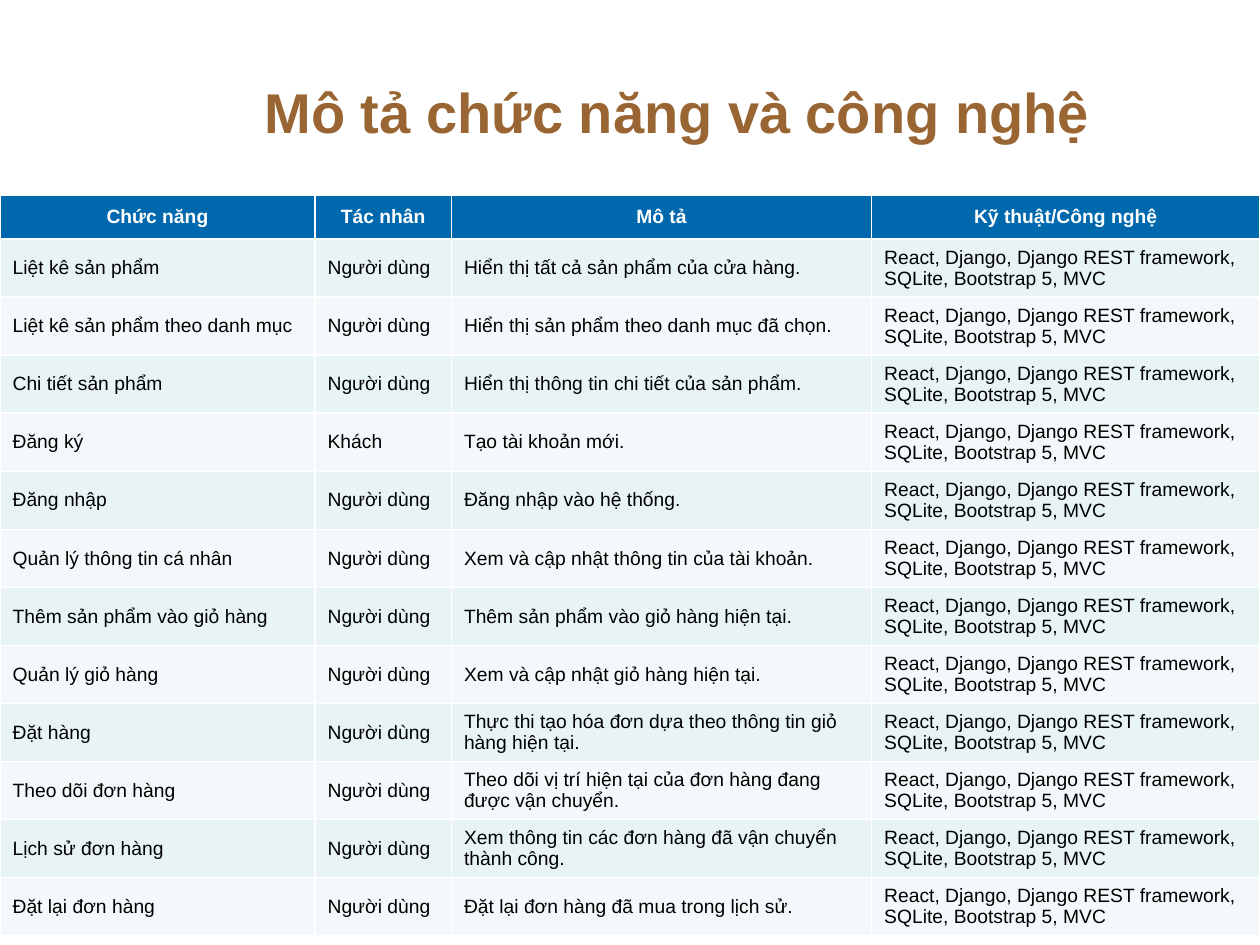
"""Build a slide with a table of shop functions, actors and technologies."""
from pptx import Presentation
from pptx.dml.color import RGBColor
from pptx.enum.text import MSO_ANCHOR as Anchor, PP_ALIGN as Align
from pptx.util import Cm, Pt

BROWN = RGBColor(0x99, 0x66, 0x33)
BLUE = RGBColor(0x00, 0x69, 0xAD)
WHITE = RGBColor(0xFF, 0xFF, 0xFF)
BLACK = RGBColor(0x00, 0x00, 0x00)
BANDS = (RGBColor(0xE7, 0xF3, 0xF4), RGBColor(0xF3, 0xF9, 0xFA))
FONT = "Arial"

HEADING = "Mô tả chức năng và công nghệ"
COLUMNS = (
    ("Chức năng", 6.35),
    ("Tác nhân", 2.75),
    ("Mô tả", 8.47),
    ("Kỹ thuật/Công nghệ", 7.83),
)
USER, GUEST = "Người dùng", "Khách"
TECHNOLOGY = "React, Django, Django REST framework, SQLite, Bootstrap 5, MVC"
FUNCTIONS = (
    ("Liệt kê sản phẩm", USER, "Hiển thị tất cả sản phẩm của cửa hàng."),
    ("Liệt kê sản phẩm theo danh mục", USER, "Hiển thị sản phẩm theo danh mục đã chọn."),
    ("Chi tiết sản phẩm", USER, "Hiển thị thông tin chi tiết của sản phẩm."),
    ("Đăng ký", GUEST, "Tạo tài khoản mới."),
    ("Đăng nhập", USER, "Đăng nhập vào hệ thống."),
    ("Quản lý thông tin cá nhân", USER, "Xem và cập nhật thông tin của tài khoản."),
    ("Thêm sản phẩm vào giỏ hàng", USER, "Thêm sản phẩm vào giỏ hàng hiện tại."),
    ("Quản lý giỏ hàng", USER, "Xem và cập nhật giỏ hàng hiện tại."),
    ("Đặt hàng", USER, "Thực thi tạo hóa đơn dựa theo thông tin giỏ hàng hiện tại."),
    ("Theo dõi đơn hàng", USER, "Theo dõi vị trí hiện tại của đơn hàng đang được vận chuyển."),
    ("Lịch sử đơn hàng", USER, "Xem thông tin các đơn hàng đã vận chuyển thành công."),
    ("Đặt lại đơn hàng", USER, "Đặt lại đơn hàng đã mua trong lịch sử."),
)
HEADER_HEIGHT, ROW_HEIGHT = 0.88, 1.17


def format_text(frame, size, color, bold, align):
    frame.vertical_anchor = Anchor.MIDDLE
    for paragraph in frame.paragraphs:
        paragraph.alignment = align
        for run in paragraph.runs:
            run.font.name = FONT
            run.font.size = Pt(size)
            run.font.bold = bold
            run.font.color.rgb = color


def fill_cell(cell, text, background, color, bold, align):
    cell.fill.solid()
    cell.fill.fore_color.rgb = background
    cell.text_frame.text = text
    cell.vertical_anchor = Anchor.MIDDLE
    format_text(cell.text_frame, 11, color, bold, align)


def add_heading(slide):
    heading = slide.shapes.title
    heading.left, heading.top = Cm(5.08), Cm(1.07)
    heading.width, heading.height = Cm(19.48), Cm(2.34)
    heading.text_frame.text = HEADING
    format_text(heading.text_frame, 32, BROWN, True, Align.LEFT)


def add_functions(slide):
    rows = [[name for name, _ in COLUMNS]]
    rows += [[*function, TECHNOLOGY] for function in FUNCTIONS]
    width = sum(width for _, width in COLUMNS)
    height = HEADER_HEIGHT + ROW_HEIGHT * len(FUNCTIONS)
    functions = slide.shapes.add_table(
        len(rows), len(COLUMNS), Cm(0), Cm(3.94), Cm(width), Cm(height)
    ).table
    for column, (_, width) in zip(functions.columns, COLUMNS):
        column.width = Cm(width)
    for index, texts in enumerate(rows):
        is_header = index == 0
        functions.rows[index].height = Cm(HEADER_HEIGHT if is_header else ROW_HEIGHT)
        if is_header:
            style = (BLUE, WHITE, True, Align.CENTER)
        else:
            style = (BANDS[(index - 1) % 2], BLACK, False, Align.LEFT)
        for cell, text in zip(functions.rows[index].cells, texts):
            fill_cell(cell, text, *style)


def main():
    deck = Presentation()
    deck.slide_width, deck.slide_height = Cm(25.4), Cm(19.05)
    slide = deck.slides.add_slide(deck.slide_layouts[5])
    add_heading(slide)
    add_functions(slide)
    deck.save("out.pptx")


if __name__ == "__main__":
    main()
